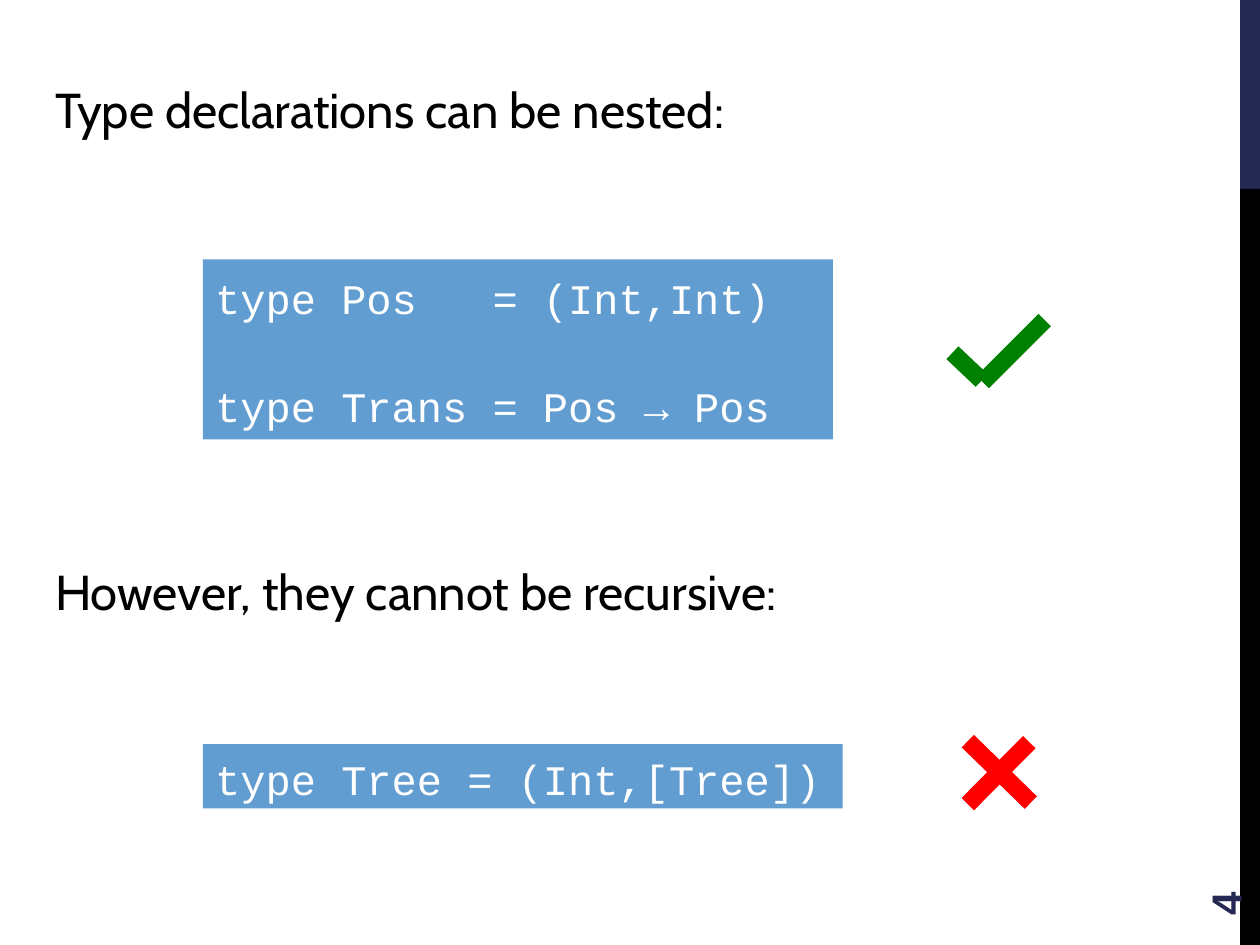
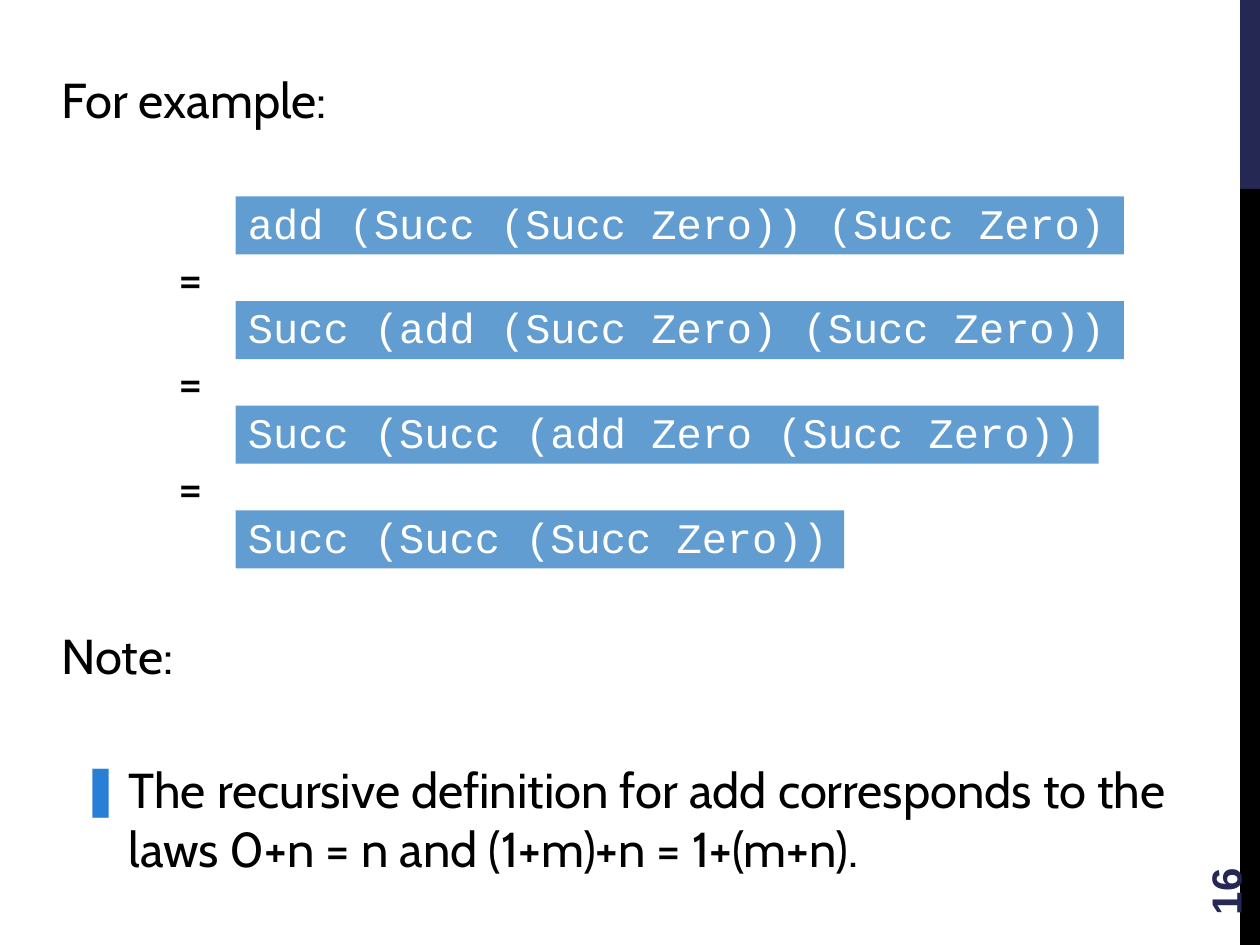
import lxml.etree
import pptx
import pptx.dml.color
import pptx.enum.shapes
import pptx.enum.text
import pptx.oxml.ns
import pptx.util

Cm = pptx.util.Cm
Pt = pptx.util.Pt
RGBColor = pptx.dml.color.RGBColor
Align = pptx.enum.text.PP_ALIGN
Anchor = pptx.enum.text.MSO_ANCHOR

NAVY = RGBColor(0x24, 0x28, 0x52)
BLACK = RGBColor(0x00, 0x00, 0x00)
WHITE = RGBColor(0xFF, 0xFF, 0xFF)
CODE_BLUE = RGBColor(0x62, 0x9D, 0xD1)
BULLET_BLUE = RGBColor(0x29, 0x7F, 0xD5)
RED = RGBColor(0xFF, 0x00, 0x00)
GREEN = RGBColor(0x00, 0x80, 0x00)

TEXT_FONT = "Cabin"
CODE_FONT = "Courier New"
NUMBER_FONT = "Arial"

TITLE_ONLY = 5
TITLE_AND_BODY = 1
TEXT_HEIGHT = 1.45


class Deck:
    def __init__(self):
        self.presentation = pptx.Presentation()
        self.presentation.slide_width = Cm(25.4)
        self.presentation.slide_height = Cm(19.05)
        self.slide = None

    def start_slide(self, layout, number):
        layouts = self.presentation.slide_layouts
        self.slide = self.presentation.slides.add_slide(layouts[layout])
        self.rectangle(25, 0, 0.4, 3.81, NAVY)
        self.rectangle(25, 3.81, 0.4, 15.24, BLACK)
        self.page_number(number)

    def rectangle(self, left, top, width, height, color):
        shape = self.slide.shapes.add_shape(
            pptx.enum.shapes.MSO_SHAPE.RECTANGLE,
            Cm(left), Cm(top), Cm(width), Cm(height))
        shape.shadow.inherit = False
        shape.fill.solid()
        shape.fill.fore_color.rgb = color
        shape.line.fill.background()
        return shape

    def fill_text(self, shape, lines, size=28, font=TEXT_FONT, color=BLACK,
                  bold=False, align=Align.LEFT, anchor=Anchor.MIDDLE):
        frame = shape.text_frame
        frame.word_wrap = True
        frame.auto_size = pptx.enum.text.MSO_AUTO_SIZE.NONE
        frame.vertical_anchor = anchor
        for index, line in enumerate(lines):
            paragraph = frame.add_paragraph() if index else frame.paragraphs[0]
            paragraph.alignment = align
            run = paragraph.add_run()
            run.text = line
            run.font.size = Pt(size)
            run.font.name = font
            run.font.bold = bold
            run.font.color.rgb = color
        return frame.paragraphs

    def text(self, text, left, top, width, height=TEXT_HEIGHT, **style):
        shape = self.slide.shapes.add_textbox(
            Cm(left), Cm(top), Cm(width), Cm(height))
        self.fill_text(shape, [text], **style)
        return shape

    def page_number(self, number):
        shape = self.text(str(number), 22.86, 16.36, 3.66, 1.02, size=24,
                          font=NUMBER_FONT, color=NAVY, bold=True)
        shape.rotation = 270

    def place(self, shape, left, top, width, height):
        shape.left, shape.top = Cm(left), Cm(top)
        shape.width, shape.height = Cm(width), Cm(height)

    def title(self, text, left, top, width):
        shape = self.slide.shapes.title
        self.place(shape, left, top, width, TEXT_HEIGHT)
        self.fill_text(shape, [text])

    def body(self, items, left, top, width, height):
        shape = self.slide.placeholders[1]
        self.place(shape, left, top, width, height)
        for paragraph in self.fill_text(shape, items, anchor=Anchor.TOP):
            paragraph.space_before = Pt(5.6)
            self.bullet(paragraph)

    def bullet(self, paragraph):
        qn = pptx.oxml.ns.qn
        properties = paragraph._p.get_or_add_pPr()
        properties.set("marL", str(Cm(0.97)))
        properties.set("indent", str(-Cm(0.97)))
        color = lxml.etree.SubElement(properties, qn("a:buClr"))
        lxml.etree.SubElement(color, qn("a:srgbClr"), val=str(BULLET_BLUE))
        lxml.etree.SubElement(properties, qn("a:buChar"), char="❚")

    def code(self, lines, left, top, width, height, spacing, gap=0):
        shape = self.rectangle(left, top, width, height, CODE_BLUE)
        paragraphs = self.fill_text(shape, lines, size=24, font=CODE_FONT,
                                    color=WHITE)
        for index, paragraph in enumerate(paragraphs):
            paragraph.line_spacing = spacing
            paragraph.space_before = Pt(gap if index else 0)

    def mark(self, strokes, color):
        for left, top, right, bottom in strokes:
            connector = self.slide.shapes.add_connector(
                pptx.enum.shapes.MSO_CONNECTOR.STRAIGHT,
                Cm(left), Cm(top), Cm(right), Cm(bottom))
            connector.line.color.rgb = color
            connector.line.width = Pt(10)
            lxml.etree.SubElement(connector._element.spPr,
                                  pptx.oxml.ns.qn("a:effectLst"))


def add_nesting_slide(deck):
    deck.start_slide(TITLE_ONLY, 4)
    deck.title("Type declarations can be nested:", 0.86, 1.47, 23.65)
    deck.code(["type Pos   = (Int,Int)", "type Trans = Pos → Pos"],
              4.09, 5.23, 12.7, 3.63, spacing=1.1, gap=30)
    deck.text("However, they cannot be recursive:", 0.86, 11.18, 16.48)
    deck.code(["type Tree = (Int,[Tree])"], 4.09, 15, 12.9, 1.3, spacing=1.1)
    deck.mark([(19.51, 14.94, 20.78, 16.18), (20.75, 14.96, 19.51, 16.21)],
              RED)
    deck.mark([(21.06, 6.45, 19.81, 7.7), (19.2, 7.11, 19.79, 7.67)], GREEN)


def add_example_slide(deck):
    deck.start_slide(TITLE_AND_BODY, 16)
    deck.title("For example:", 0.99, 1.27, 22.45)
    steps = [
        ("add (Succ (Succ Zero)) (Succ Zero)", 17.91),
        ("Succ (add (Succ Zero) (Succ Zero))", 17.91),
        ("Succ (Succ (add Zero (Succ Zero))", 17.4),
        ("Succ (Succ (Succ Zero))", 12.27),
    ]
    for index, (expression, width) in enumerate(steps):
        top = 3.96 + 2.11 * index
        deck.code([expression], 4.75, top, width, 1.17, spacing=0.9)
        if index:
            deck.text("=", 3.23, top - 1.22, 1.22, align=Align.CENTER)
    deck.text("Note:", 0.99, 12.47, 2.92)
    deck.body(["The recursive definition for add corresponds to the laws "
               "0+n = n and (1+m)+n = 1+(m+n)."], 1.37, 15.19, 22.83, 2.95)


def main():
    deck = Deck()
    add_nesting_slide(deck)
    add_example_slide(deck)
    deck.presentation.save("out.pptx")


if __name__ == "__main__":
    main()
